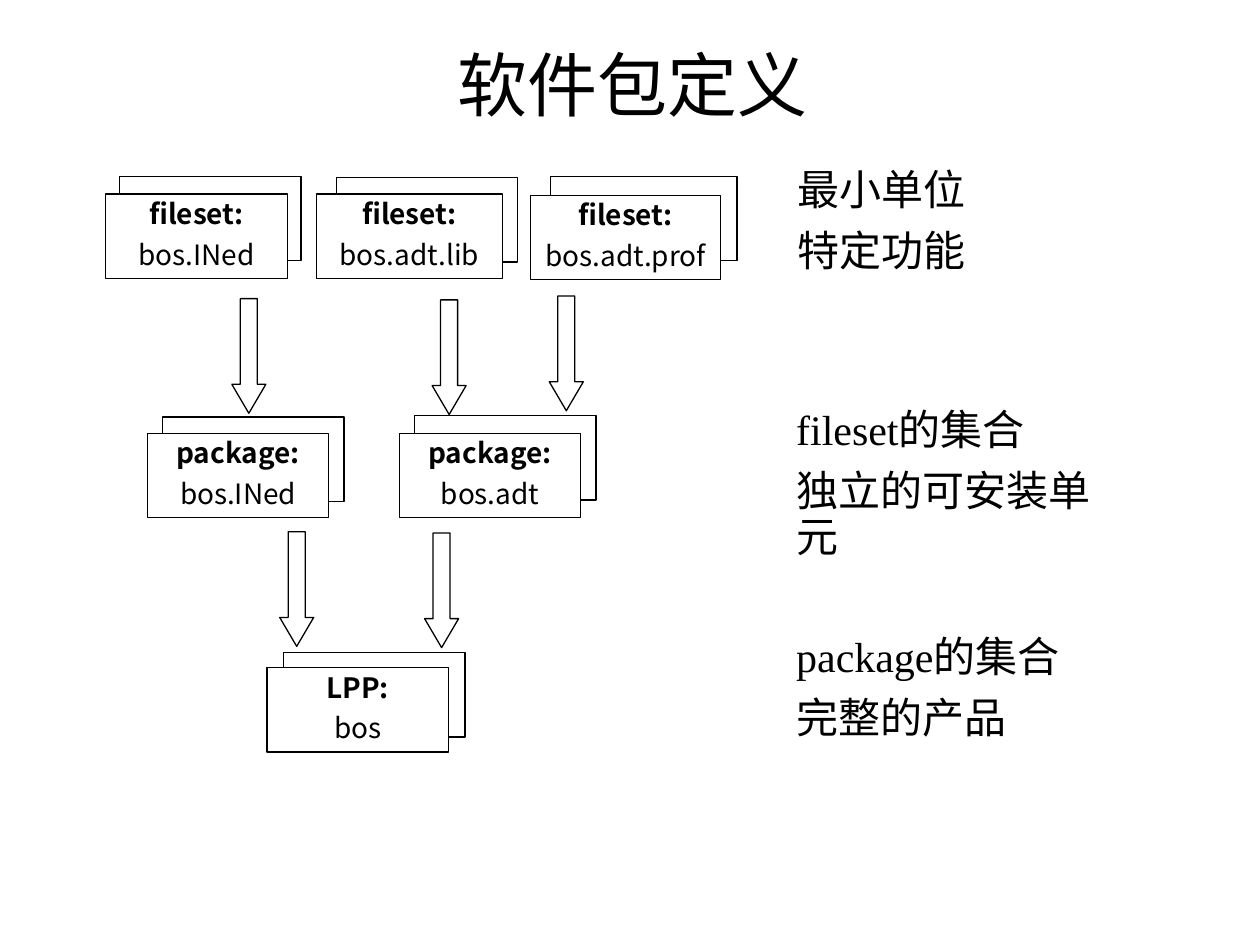
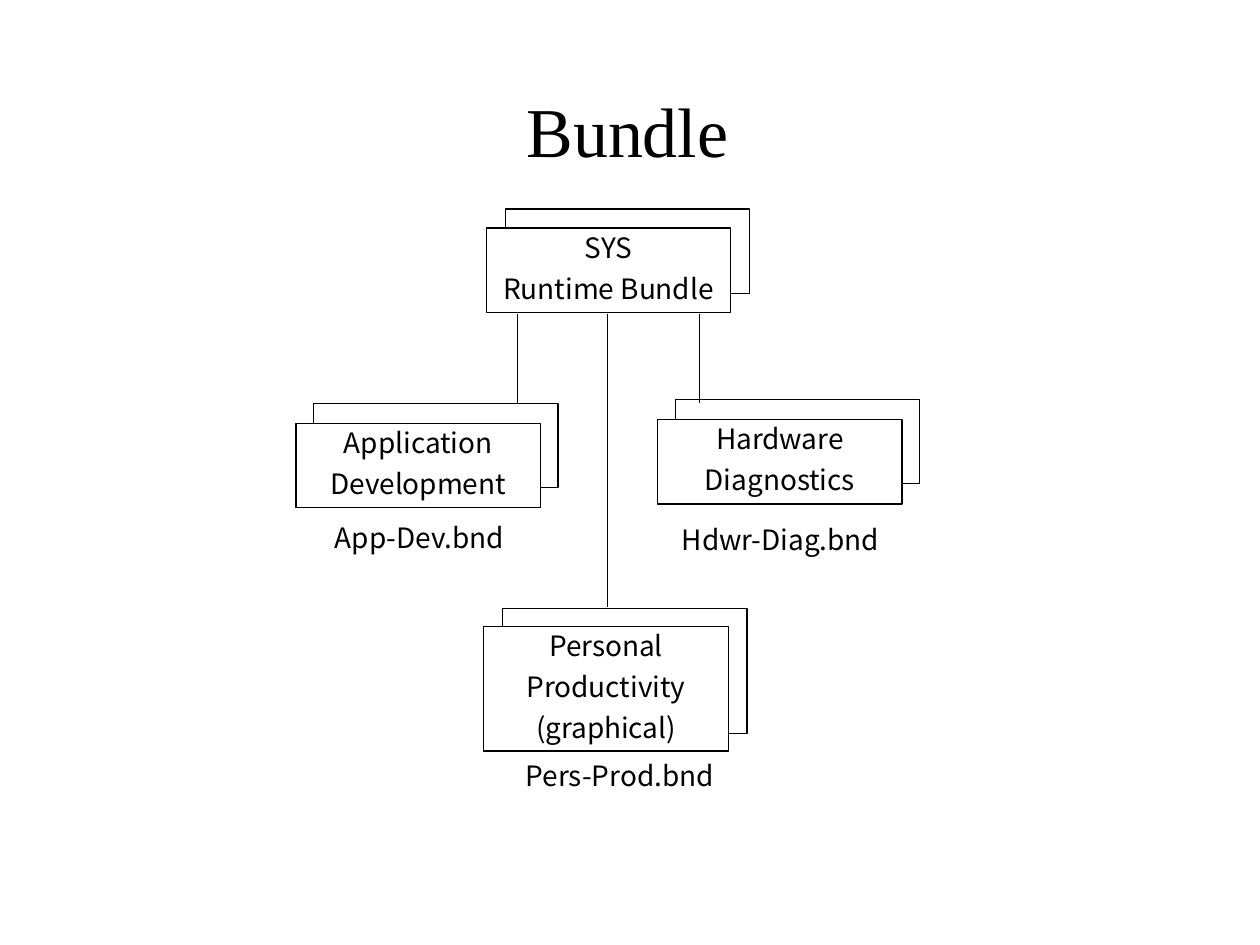
from dataclasses import dataclass

from lxml import etree
from pptx import Presentation
from pptx import util as u
from pptx.dml.color import RGBColor
from pptx.enum import shapes, text
from pptx.oxml.ns import qn

BLACK = RGBColor(0x00, 0x00, 0x00)
WHITE = RGBColor(0xFF, 0xFF, 0xFF)
SERIF = "Times New Roman"
SANS = "Noto Sans CJK SC"
SLIDE_W, SLIDE_H = u.Inches(10), u.Inches(7.5)
COLUMN, ROW = SLIDE_W / 100, SLIDE_H / 75
LINE_WIDTH = u.Pt(0.75)
CARD_H = 6.7
ARROW_W, ARROW_H = 2.7, 9.1


@dataclass
class Box:
    """A region measured in grid columns and rows."""
    left: float
    top: float
    width: float
    height: float

    def area(self, left, top, width, height):
        return Box(self.left + left, self.top + top, width, height)

    def emu(self):
        return (u.Emu(round(self.left * COLUMN)), u.Emu(round(self.top * ROW)),
                u.Emu(round(self.width * COLUMN)), u.Emu(round(self.height * ROW)))


def write(shape, lines, *, size=16, font=SANS, bold_first=False,
          align=text.PP_ALIGN.CENTER, anchor=text.MSO_ANCHOR.TOP,
          gap=6, spacing=0.9):
    frame = shape.text_frame
    frame.word_wrap = True
    frame.vertical_anchor = anchor
    for index, line in enumerate(lines):
        paragraph = frame.add_paragraph() if index else frame.paragraphs[0]
        paragraph.text = line
        paragraph.alignment = align
        paragraph.line_spacing = spacing
        if index:
            paragraph.space_before = u.Pt(gap)
        paragraph.font.size = u.Pt(size)
        paragraph.font.name = font
        paragraph.font.bold = bold_first and index == 0
        paragraph.font.color.rgb = BLACK


def add_outline(slide, kind, box, lined=True):
    shape = slide.shapes.add_shape(kind, *box.emu())
    shape.shadow.inherit = False
    shape.fill.solid()
    shape.fill.fore_color.rgb = WHITE
    if lined:
        shape.line.color.rgb = BLACK
        shape.line.width = LINE_WIDTH
    else:
        shape.line.fill.background()
    return shape


def add_rect(slide, box, lined=True):
    return add_outline(slide, shapes.MSO_SHAPE.RECTANGLE, box, lined)


def add_card(slide, box, lines, shift, back_trim=0, bold_first=False):
    """Draw a captioned sheet with a second sheet showing behind it."""
    right, up = shift
    add_rect(slide, box.area(right, -up, box.width - back_trim, box.height))
    write(add_rect(slide, box), lines, bold_first=bold_first)


def add_down_arrow(slide, box):
    arrow = add_outline(slide, shapes.MSO_SHAPE.DOWN_ARROW, box)
    arrow.adjustments[0] = 0.5
    arrow.adjustments[1] = 0.85


def add_drop_line(slide, box):
    left, top, _, height = box.emu()
    line = slide.shapes.add_connector(
        shapes.MSO_CONNECTOR.STRAIGHT, left, top, left, top + height)
    line.line.color.rgb = BLACK
    line.line.width = LINE_WIDTH
    properties = line._element.find(qn("p:spPr"))
    etree.SubElement(properties, qn("a:effectLst"))


def add_title(slide, box, title):
    write(slide.shapes.add_textbox(*box.emu()), [title], size=40, font=SERIF,
          anchor=text.MSO_ANCHOR.MIDDLE, spacing=1.0)


def add_package_levels(slide, box):
    """Draw filesets, packages and product, joined by arrows."""
    levels = [
        (0, 0, 14.4, "fileset:", "bos.INed", (1.1, 1.4), 0),
        (16.7, 0, 14.8, "fileset:", "bos.adt.lib", (1.6, 1.3), 0.4),
        (33.7, 0.1, 15.1, "fileset:", "bos.adt.prof", (1.6, 1.5), 0.3),
        (3.3, 19, 14.4, "package:", "bos.INed", (1.2, 1.3), 0),
        (23.3, 19, 14.4, "package:", "bos.adt", (1.2, 1.4), 0),
        (12.8, 37.6, 14.4, "LPP:", "bos", (1.3, 1.2), 0),
    ]
    for left, top, width, level, name, shift, trim in levels:
        add_card(slide, box.area(left, top, width, CARD_H), [level, name],
                 shift, trim, bold_first=True)
    for left, top in [(10, 8.3), (25.9, 8.4), (35.2, 8.1), (13.8, 26.8), (25.3, 26.9)]:
        add_down_arrow(slide, box.area(left, top, ARROW_W, ARROW_H))


def add_level_notes(slide, box):
    notes = [
        (0.1, 0, 9.5, ["最小单位", "特定功能"]),
        (0, 19.1, 13.1, ["fileset的集合", "独立的可安装单元"]),
        (0, 37.1, 9.5, ["package的集合", "完整的产品"]),
    ]
    for left, top, height, lines in notes:
        note = slide.shapes.add_textbox(*box.area(left, top, box.width, height).emu())
        write(note, lines, size=24, font=SERIF, gap=9, align=text.PP_ALIGN.LEFT)


def add_bundle_tree(slide, box):
    bundles = [
        (15.1, 0, CARD_H, ["SYS", "Runtime Bundle"], (1.5, 1.5)),
        (28.7, 15.2, CARD_H, ["Hardware", "Diagnostics"], (1.4, 1.6)),
        (0, 15.5, CARD_H, ["Application", "Development"], (1.4, 1.6)),
        (14.9, 31.6, 9.9, ["Personal", "Productivity", "(graphical)"], (1.5, 1.4)),
    ]
    for left, top, height, lines, shift in bundles:
        add_card(slide, box.area(left, top, 19.4, height), lines, shift)
    files = [
        (-0.2, 23, 20, "App-Dev.bnd"),
        (29, 23.2, 18.9, "Hdwr-Diag.bnd"),
        (16, 41.9, 19.4, "Pers-Prod.bnd"),
    ]
    for left, top, width, name in files:
        write(add_rect(slide, box.area(left, top, width, 3.4), lined=False), [name])
    for left, length in [(24.7, 23.3), (17.6, 7.2), (32, 7.1)]:
        add_drop_line(slide, box.area(left, 6.8, 0, length))


def build_definition_slide(slide):
    add_title(slide, Box(7.7, 3, 85, 7.3), "软件包定义")
    add_package_levels(slide, Box(8.4, 15.4, 50, 45))
    add_level_notes(slide, Box(62.2, 12.9, 27.2, 47))


def build_bundle_slide(slide):
    add_title(slide, Box(7.3, 4, 85, 12.5), "Bundle")
    add_bundle_tree(slide, Box(23.5, 18.1, 50, 46))


def main():
    deck = Presentation()
    deck.slide_width, deck.slide_height = SLIDE_W, SLIDE_H
    blank = deck.slide_layouts[6]
    for build in (build_definition_slide, build_bundle_slide):
        build(deck.slides.add_slide(blank))
    deck.save("out.pptx")


if __name__ == "__main__":
    main()
